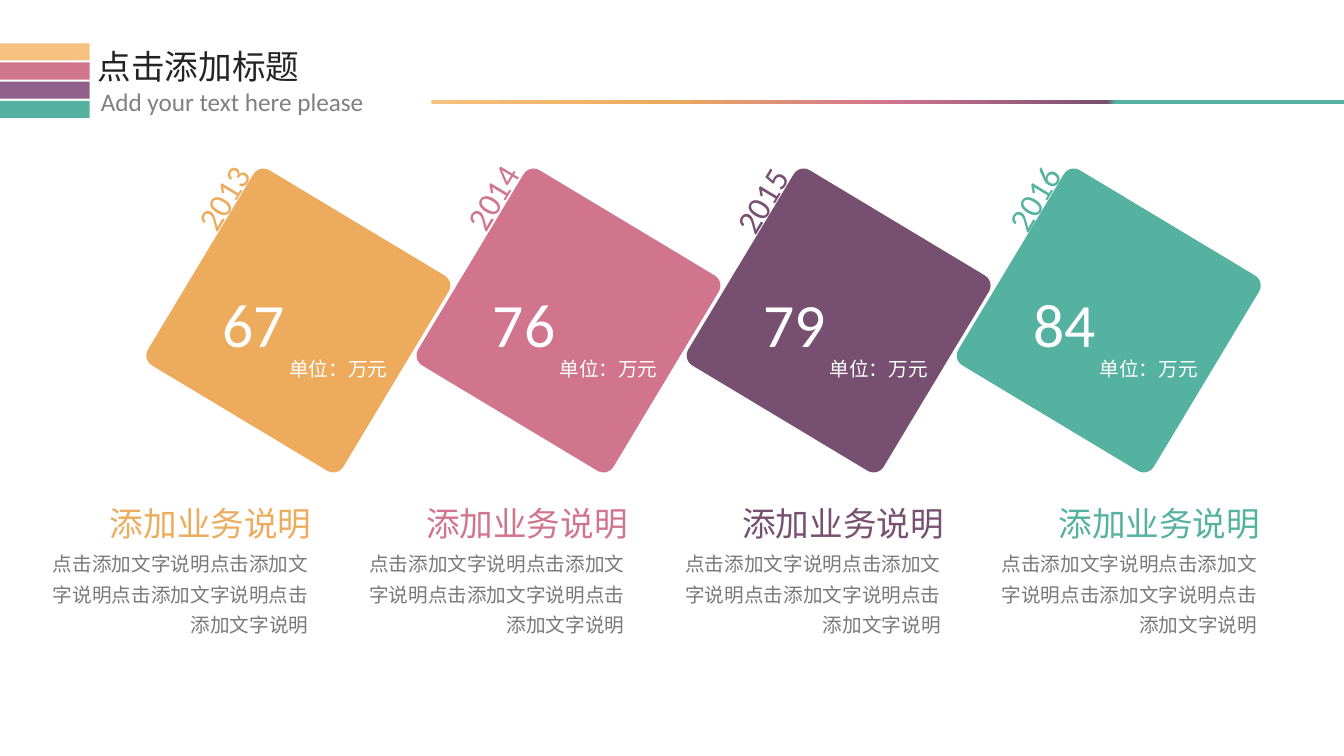
from lxml.etree import SubElement
from pptx import Presentation
from pptx.dml.color import RGBColor
from pptx.enum.shapes import MSO_SHAPE
from pptx.enum.text import MSO_ANCHOR, PP_ALIGN
from pptx.oxml.ns import qn
from pptx.util import Inches, Pt

# The slide is a grid of square cells; every length below counts cells.
CELL = Inches(0.1)
COLUMNS, ROWS = 133.33, 75

COLORS = {
    "amber": "EDAC5D", "light_amber": "F7C17F", "rose": "D1758E",
    "plum": "774F71", "light_plum": "8F608A", "teal": "55B2A0",
    "ink": "232226", "subtitle": "808080", "body": "797979", "white": "FFFFFF",
}
LATIN, CHINESE = "Calibri", "Noto Sans CJK SC"
STYLES = {
    "title": {"size": 24, "font": CHINESE, "color": "ink"},
    "subtitle": {"size": 18, "font": LATIN, "color": "subtitle"},
    "year": {"size": 24, "font": LATIN, "alignment": PP_ALIGN.RIGHT},
    "amount": {"size": 44, "font": LATIN, "color": "white"},
    "unit": {"size": 14, "font": CHINESE, "color": "white"},
    "heading": {"size": 24, "font": CHINESE, "alignment": PP_ALIGN.RIGHT},
    "body": {"size": 14, "font": CHINESE, "color": "body",
             "alignment": PP_ALIGN.RIGHT, "line_spacing": 1.3},
}
STRIPES = ["light_amber", "rose", "light_plum", "teal"]
RULE_STOPS = [(0, "light_amber"), (25, "amber"), (50, "rose"),
              (74, "plum"), (75, "teal"), (100, "teal")]

# Colour, year, amount, and the year label's left, top and width in its card
YEARS = [
    ("amber", "2013", "67", (-2.3, -2.1, 10.7)),
    ("rose", "2014", "76", (-1.8, -2.5, 9.9)),
    ("plum", "2015", "79", (-1.1, -2.6, 8.9)),
    ("teal", "2016", "84", (-1.2, -2.7, 9.3)),
]
HEADING = "添加业务说明"
BODY = "点击添加文字说明" * 4


def cells(*lengths):
    return [round(length * CELL) for length in lengths]


def add_block(slide, box, color, preset=MSO_SHAPE.RECTANGLE):
    shape = slide.shapes.add_shape(preset, *cells(*box))
    shape.shadow.inherit = False
    shape.line.fill.background()
    shape.fill.solid()
    shape.fill.fore_color.rgb = RGBColor.from_string(COLORS[color])
    return shape


def add_label(slide, box, text, style, **changes):
    look = {**STYLES[style], **changes}
    shape = slide.shapes.add_textbox(*cells(*box))
    frame = shape.text_frame
    frame_format = {"word_wrap": True, "vertical_anchor": MSO_ANCHOR.TOP}
    frame_format.update({f"margin_{side}": Inches(0.05)
                         for side in ("left", "top", "right", "bottom")})
    for name, value in frame_format.items():
        setattr(frame, name, value)
    paragraph = frame.paragraphs[0]
    for name in ("alignment", "line_spacing"):
        if name in look:
            setattr(paragraph, name, look[name])
    run = paragraph.add_run()
    run.text = text
    for name, value in {"size": Pt(look["size"]), "name": look["font"]}.items():
        setattr(run.font, name, value)
    run.font.color.rgb = RGBColor.from_string(COLORS[look["color"]])
    SubElement(run.font._element, qn("a:ea"), typeface=look["font"])
    return shape


def set_gradient(shape, stops):
    """Fill from left to right with any number of (percent, colour) stops."""
    shape.fill.gradient()
    shape.fill.gradient_angle = 0
    stop_list = shape._element.spPr.find(qn("a:gradFill")).find(qn("a:gsLst"))
    for old_stop in list(stop_list):
        stop_list.remove(old_stop)
    for percent, color in stops:
        stop = SubElement(stop_list, qn("a:gs"), pos=str(percent * 1000))
        SubElement(stop, qn("a:srgbClr"), val=COLORS[color])


def add_header(slide, left, top):
    for index, color in enumerate(STRIPES):
        add_block(slide, (left, top + 1.9 * index, 8.9, 1.7), color)
    add_label(slide, (left + 9.2, top - 0.2, 22.6, 5.6), "点击添加标题", "title")
    add_label(slide, (left + 9.5, top + 3.8, 35.7, 4.1),
              "Add your text here please", "subtitle")
    rule_left = left + 42.8
    rule = add_block(slide, (rule_left, top + 5.6, COLUMNS - rule_left, 0.4), "teal")
    set_gradient(rule, RULE_STOPS)


def add_card(slide, left, top, side, color):
    card = add_block(slide, (left, top, side, side), color,
                     MSO_SHAPE.ROUNDED_RECTANGLE)
    card.adjustments[0] = 0.051
    card.rotation = 31


def add_card_text(slide, left, top, color, year, amount, year_box):
    year_left, year_top, year_width = year_box
    label = add_label(slide, (left + year_left, top + year_top, year_width, 5),
                      year, "year", color=color)
    label.rotation = 301
    add_label(slide, (left + 3.3, top + 7.4, 9.5, 8.4), amount, "amount")
    add_label(slide, (left + 9.9, top + 14.4, 11.2, 3.8), "单位：万元", "unit")


def add_caption(slide, right, top, color):
    """Right-aligned heading and body that end at the given column."""
    add_label(slide, (right - 22.4, top, 22.4, 5.6), HEADING, "heading", color=color)
    add_label(slide, (right - 27.6, top + 4.2, 27.3, 11), BODY, "body")


def main():
    presentation = Presentation()
    presentation.slide_width, presentation.slide_height = cells(COLUMNS, ROWS)
    slide = presentation.slides.add_slide(presentation.slide_layouts[6])
    add_header(slide, 0, 4.3)
    card_lefts = [18.3 + 26.8 * index for index in range(len(YEARS))]
    for left, (color, *_) in zip(card_lefts, YEARS):
        add_card(slide, left, 20.5, 22.6, color)
    for index, (left, details) in enumerate(zip(card_lefts, YEARS)):
        add_card_text(slide, left, 20.5, *details)
        add_caption(slide, 31.4 + 31.37 * index, 49.4, details[0])
    presentation.save("out.pptx")


if __name__ == "__main__":
    main()
